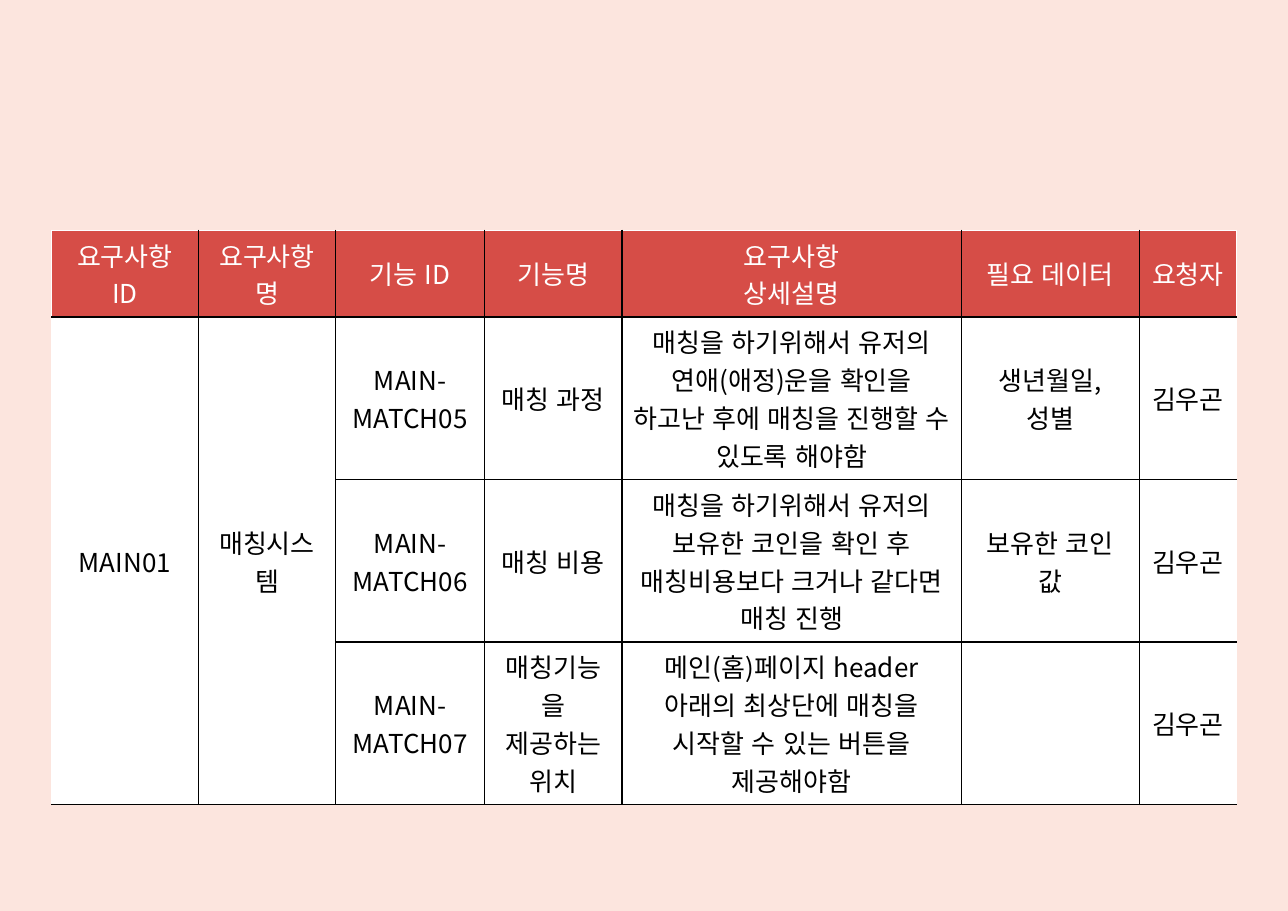
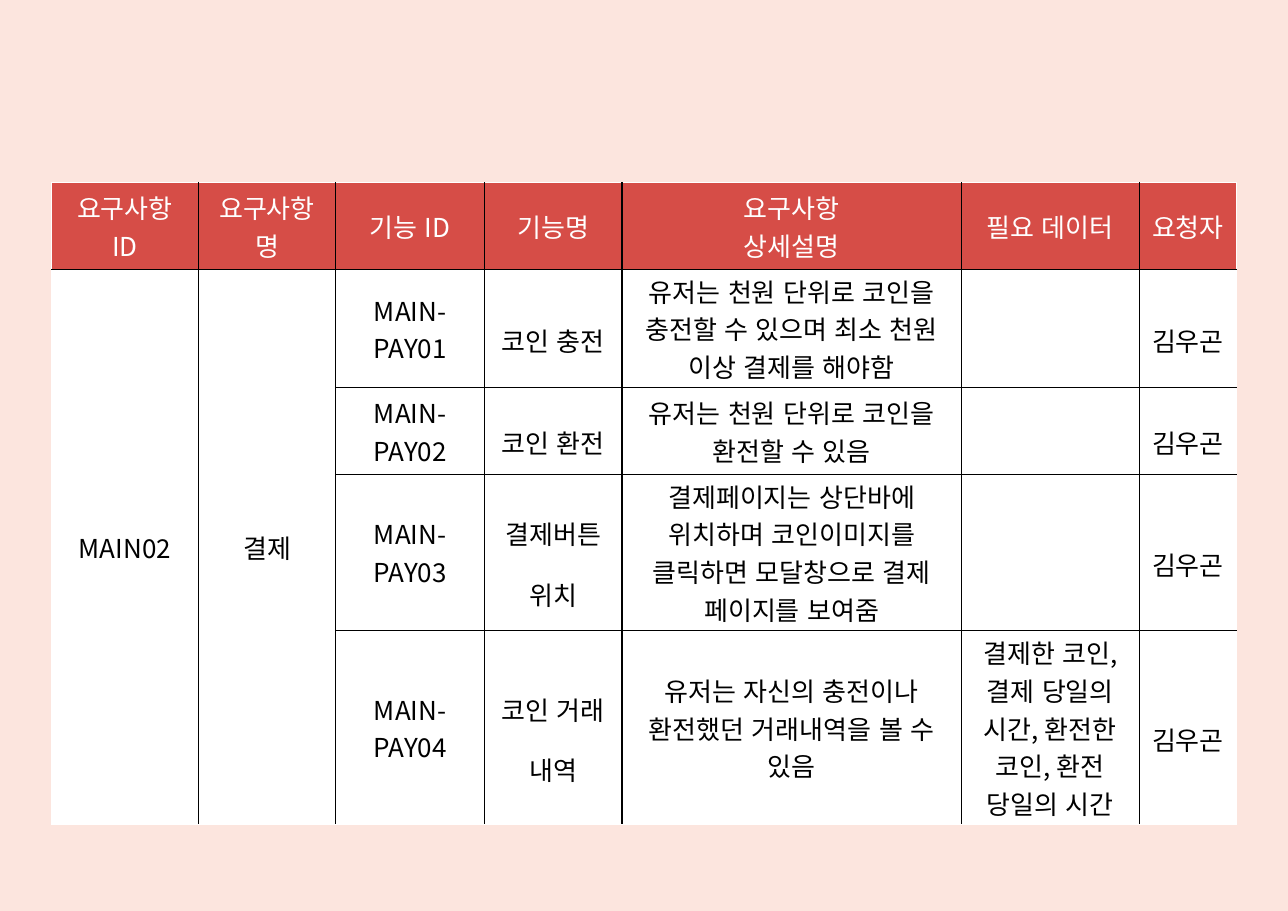
from pptx import Presentation
from pptx.dml.color import RGBColor
from pptx.enum import lang, text
from pptx.oxml.ns import qn
from pptx.util import Inches, Pt
from lxml import etree

DPI, WIDE, HIGH = 96, 1123, 794  # A4 landscape in screen pixels
FONT, SIZE = "Noto Sans CJK KR", 17
HUES = {"back": "FCE5DE", "head": "D64D47", "white": "FFFFFF", "ink": "000000"}
COLS = [1.33, 1.25, 1.35, 1.25, 3.08, 1.62, 0.88]
HEADS = ["요구사항 ID", "요구사항명", "기능 ID", "기능명",
         "요구사항\n상세설명", "필요 데이터", "요청자"]
LEFT, ASKER = 0.47, "김우곤"
MERGED = 2  # leading columns that span all body rows

MATCH = [
    ["MAIN-MATCH05", "매칭 과정",
     "매칭을 하기위해서 유저의 연애(애정)운을 확인을 하고난 후에 매칭을 진행할 수 있도록 해야함",
     "생년월일, 성별"],
    ["MAIN-MATCH06", "매칭 비용",
     "매칭을 하기위해서 유저의 보유한 코인을 확인 후 매칭비용보다 크거나 같다면 매칭 진행",
     "보유한 코인 값"],
    ["MAIN-MATCH07", "매칭기능을 제공하는 위치",
     "메인(홈)페이지 header 아래의 최상단에 매칭을 시작할 수 있는 버튼을 제공해야함", ""],
]
PAY = [
    ["MAIN-PAY01", "코인 충전",
     "유저는 천원 단위로 코인을 충전할 수 있으며 최소 천원 이상 결제를 해야함", ""],
    ["MAIN-PAY02", "코인 환전", "유저는 천원 단위로 코인을 환전할 수 있음", ""],
    ["MAIN-PAY03", "결제버튼 위치",
     "결제페이지는 상단바에 위치하며 코인이미지를 클릭하면 모달창으로 결제 페이지를 보여줌", ""],
    ["MAIN-PAY04", "코인 거래 내역",
     "유저는 자신의 충전이나 환전했던 거래내역을 볼 수 있음",
     "결제한 코인, 결제 당일의 시간, 환전한 코인, 환전 당일의 시간"],
]


def rgb(hue):
    return RGBColor.from_string(HUES[hue])


def write(cell, words, hue, lead=None):
    cell.vertical_anchor = text.MSO_ANCHOR.MIDDLE
    frame = cell.text_frame
    for i, line in enumerate(words.split("\n")):
        para = frame.add_paragraph() if i else frame.paragraphs[0]
        para.alignment = text.PP_ALIGN.CENTER
        if lead:
            para.line_spacing = lead
        if not line:
            continue
        run = para.add_run()
        run.text = line
        font = run.font
        font.size, font.name = Pt(SIZE), FONT
        font.color.rgb = rgb(hue)
        font.language_id = lang.MSO_LANGUAGE_ID.KOREAN
        etree.SubElement(run._r.rPr, qn("a:ea"), typeface=FONT)


def paint(cell, hue, edges):
    """Fill the cell and draw its edges, a dict of side to hue."""
    cell.fill.solid()
    cell.fill.fore_color.rgb = rgb(hue)
    props = cell._tc.get_or_add_tcPr()
    for i, (side, tint) in enumerate(edges.items()):
        line = etree.Element(qn("a:ln" + side), w=str(Pt(1)))
        fill = etree.SubElement(line, qn("a:solidFill"))
        etree.SubElement(fill, qn("a:srgbClr"), val=HUES[tint])
        props.insert(i, line)


def sides(row, col, last, closed):
    """Edges of one cell: white at the outer rim, open below unless closed."""
    edges = {"L": "ink" if col else "white",
             "R": "ink" if col < len(COLS) - 1 else "white",
             "T": "ink" if row else "white", "B": "ink"}
    joined = col < MERGED and row > 0
    if joined and row > 1:
        del edges["T"]
    if not closed and (joined or row == last):
        del edges["B"]
    return edges


def add_grid(slide, top, highs, group, items, closed=True, lead=None):
    """Requirement table; lead opens up the lines of names and askers."""
    rows = [HEADS] + [["", "", *item, ASKER] for item in items]
    rows[1][:MERGED] = group
    last = len(items)
    grid = slide.shapes.add_table(
        len(rows), len(COLS), Inches(LEFT), Inches(top),
        Inches(sum(COLS)), Inches(sum(highs))).table
    grid.first_row = grid.horz_banding = False
    for col, wide in zip(grid.columns, COLS):
        col.width = Inches(wide)
    for row, high in zip(grid.rows, highs):
        row.height = Inches(high)
    for r, row in enumerate(rows):
        for c, words in enumerate(row):
            cell = grid.cell(r, c)
            if lead and r and c > MERGED:
                cell.margin_left = cell.margin_right = Inches(0.07)
                cell.margin_top = cell.margin_bottom = Inches(0.02)
            write(cell, words, "ink" if r else "white",
                  lead if r and c in (3, 6) else None)
            paint(cell, "white" if r else "head", sides(r, c, last, closed))
    for c in range(MERGED):
        grid.cell(1, c).merge(grid.cell(last, c))


def add_page(deck):
    slide = deck.slides.add_slide(deck.slide_layouts[6])
    fill = slide.background.fill
    fill.solid()
    fill.fore_color.rgb = rgb("back")
    return slide


def main():
    deck = Presentation()
    deck.slide_width, deck.slide_height = Inches(WIDE / DPI), Inches(HIGH / DPI)
    add_grid(add_page(deck), 2.09, [0.78] + [1.47] * 3,
             ["MAIN01", "매칭시스템"], MATCH)
    add_grid(add_page(deck), 1.66, [0.78, 1.07, 0.78, 1.42, 1.76],
             ["MAIN02", "결제"], PAY, closed=False, lead=1.6)
    deck.save("out.pptx")


if __name__ == "__main__":
    main()
